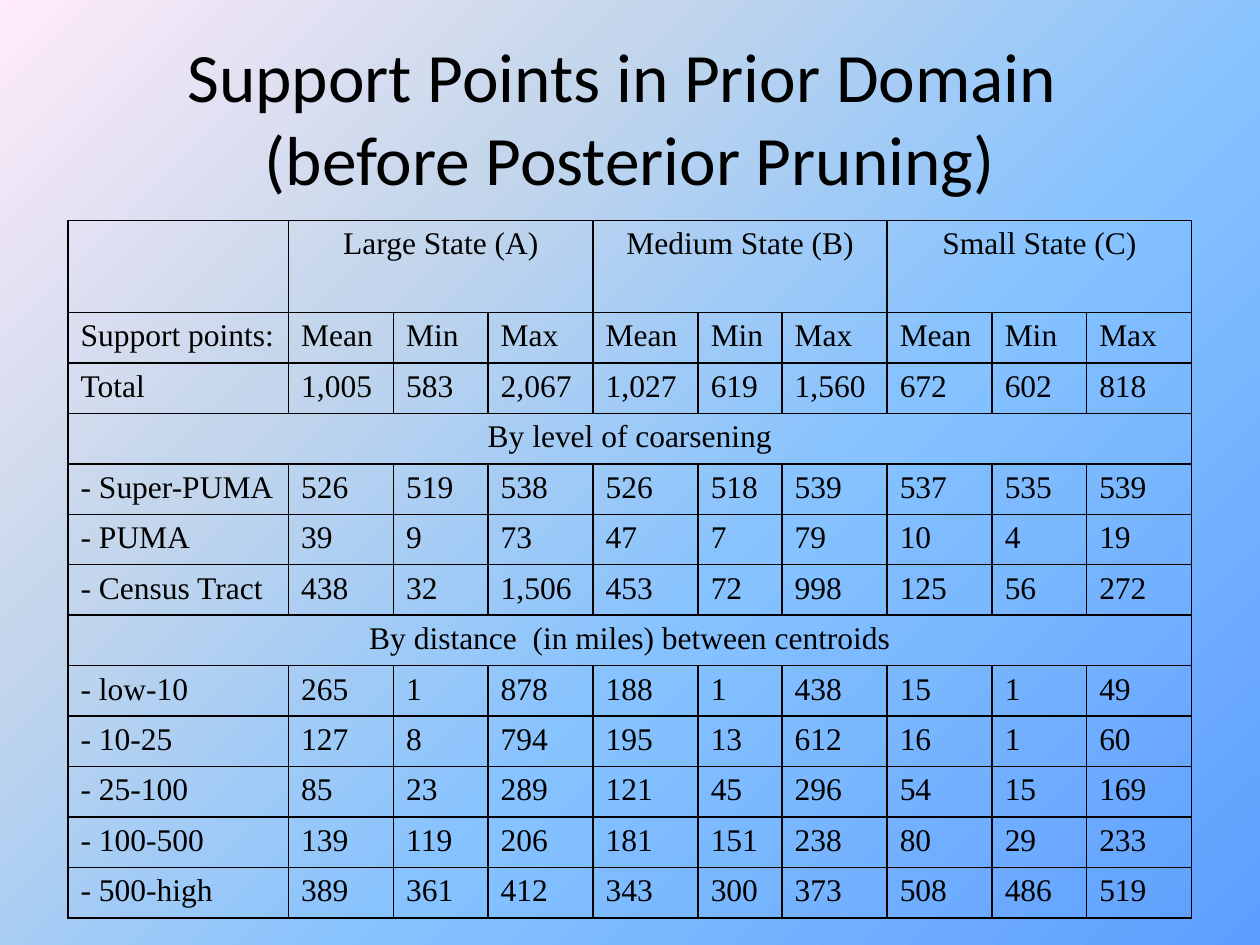
import pptx
import pptx.dml.color
import pptx.enum.text
import pptx.oxml
import pptx.oxml.ns
import pptx.util

Inches = pptx.util.Inches
ALIGN = pptx.enum.text.PP_ALIGN
BLACK = "000000"

BACKGROUND_STOPS = [(0, "5E9EFF"), (40, "85C2FF"), (70, "C4D6EB"), (100, "FFEBFA")]
TITLE = "Support Points in Prior Domain \n(before Posterior Pruning)"
STATES = ["Large State (A)", "Medium State (B)", "Small State (C)"]
STATISTICS = ["Mean", "Min", "Max"]
# A row with a label only is a section heading across the whole table.
ROWS = [
    ["Support points:"] + STATISTICS * len(STATES),
    ["Total", "1,005", "583", "2,067", "1,027", "619", "1,560", "672", "602", "818"],
    ["By level of coarsening"],
    ["- Super-PUMA", "526", "519", "538", "526", "518", "539", "537", "535", "539"],
    ["- PUMA", "39", "9", "73", "47", "7", "79", "10", "4", "19"],
    ["- Census Tract", "438", "32", "1,506", "453", "72", "998", "125", "56", "272"],
    ["By distance  (in miles) between centroids"],
    ["- low-10", "265", "1", "878", "188", "1", "438", "15", "1", "49"],
    ["- 10-25", "127", "8", "794", "195", "13", "612", "16", "1", "60"],
    ["- 25-100", "85", "23", "289", "121", "45", "296", "54", "15", "169"],
    ["- 100-500", "139", "119", "206", "181", "151", "238", "80", "29", "233"],
    ["- 500-high", "389", "361", "412", "343", "300", "373", "508", "486", "519"],
]
# Shares of the table width, in twelfths of an inch.
COLUMN_TWELFTHS = [21, 10, 9, 10, 10, 8, 10, 10, 9, 10]
STATES_ROW_HEIGHT = Inches(0.73)
ROW_HEIGHT = Inches(0.37)


def rgb(hex_color):
    return pptx.dml.color.RGBColor.from_string(hex_color)


def write(frame, text, size=18, font="Times New Roman", color=BLACK, align=ALIGN.LEFT):
    paragraph = frame.paragraphs[0]
    paragraph.text = text
    paragraph.alignment = align
    for run in paragraph.runs:
        run.font.size = pptx.util.Pt(size)
        run.font.name = font
        run.font.color.rgb = rgb(color)


def paint_background(slide):
    """Fill the slide with a gradient that spreads from the bottom right corner."""
    slide.background.fill.gradient()
    gradient = slide.element.find(".//" + pptx.oxml.ns.qn("a:gradFill"))
    stops = "".join(
        f'<a:gs pos="{percent * 1000}"><a:srgbClr val="{color}"/></a:gs>'
        for percent, color in BACKGROUND_STOPS
    )
    corner_gradient = pptx.oxml.parse_xml(
        f'<a:gradFill {pptx.oxml.ns.nsdecls("a")} rotWithShape="1">'
        f"<a:gsLst>{stops}</a:gsLst>"
        '<a:path path="circle"><a:fillToRect l="100000" t="100000"/></a:path>'
        '<a:tileRect r="-100000" b="-100000"/></a:gradFill>'
    )
    gradient.getparent().replace(gradient, corner_gradient)


def add_title(slide, left, top, width, height):
    frame = slide.shapes.add_textbox(left, top, width, height).text_frame
    frame.word_wrap = True
    frame.vertical_anchor = pptx.enum.text.MSO_ANCHOR.MIDDLE
    write(frame, TITLE, size=39.6, font="Calibri", align=ALIGN.CENTER)


def outline_cell(cell, color=BLACK, points=1):
    properties = cell._tc.get_or_add_tcPr()
    for side in ("lnL", "lnR", "lnT", "lnB"):
        properties.append(pptx.oxml.parse_xml(
            f'<a:{side} {pptx.oxml.ns.nsdecls("a")} w="{pptx.util.Pt(points)}">'
            f'<a:solidFill><a:srgbClr val="{color}"/></a:solidFill></a:{side}>'
        ))
    cell.fill.background()


def write_merged(table, row, first, last, text):
    table.cell(row, first).merge(table.cell(row, last))
    write(table.cell(row, first).text_frame, text, align=ALIGN.CENTER)


def add_support_points_table(slide, left, top, width):
    column_count = len(COLUMN_TWELFTHS)
    height = STATES_ROW_HEIGHT + ROW_HEIGHT * len(ROWS)
    table = slide.shapes.add_table(
        len(ROWS) + 1, column_count, left, top, width, height).table
    table.first_row = False
    table.horz_banding = False
    for column, twelfths in zip(table.columns, COLUMN_TWELFTHS):
        column.width = int(width * twelfths / sum(COLUMN_TWELFTHS))
    for row in table.rows:
        row.height = ROW_HEIGHT
    table.rows[0].height = STATES_ROW_HEIGHT
    for cell in table.iter_cells():
        outline_cell(cell)

    span = len(STATISTICS)
    for index, state in enumerate(STATES):
        first = 1 + index * span
        write_merged(table, 0, first, first + span - 1, state)
    for row, texts in enumerate(ROWS, start=1):
        if len(texts) == 1:
            write_merged(table, row, 0, column_count - 1, texts[0])
            continue
        for column, text in enumerate(texts):
            write(table.cell(row, column).text_frame, text)


def main():
    deck = pptx.Presentation()
    deck.slide_width, deck.slide_height = Inches(10), Inches(7.5)
    slide = deck.slides.add_slide(deck.slide_layouts[6])
    paint_background(slide)
    add_title(slide, Inches(0.5), Inches(0.3), Inches(9), Inches(1.25))
    add_support_points_table(slide, Inches(0.54), Inches(1.75), Inches(8.92))
    deck.save("out.pptx")


if __name__ == "__main__":
    main()
